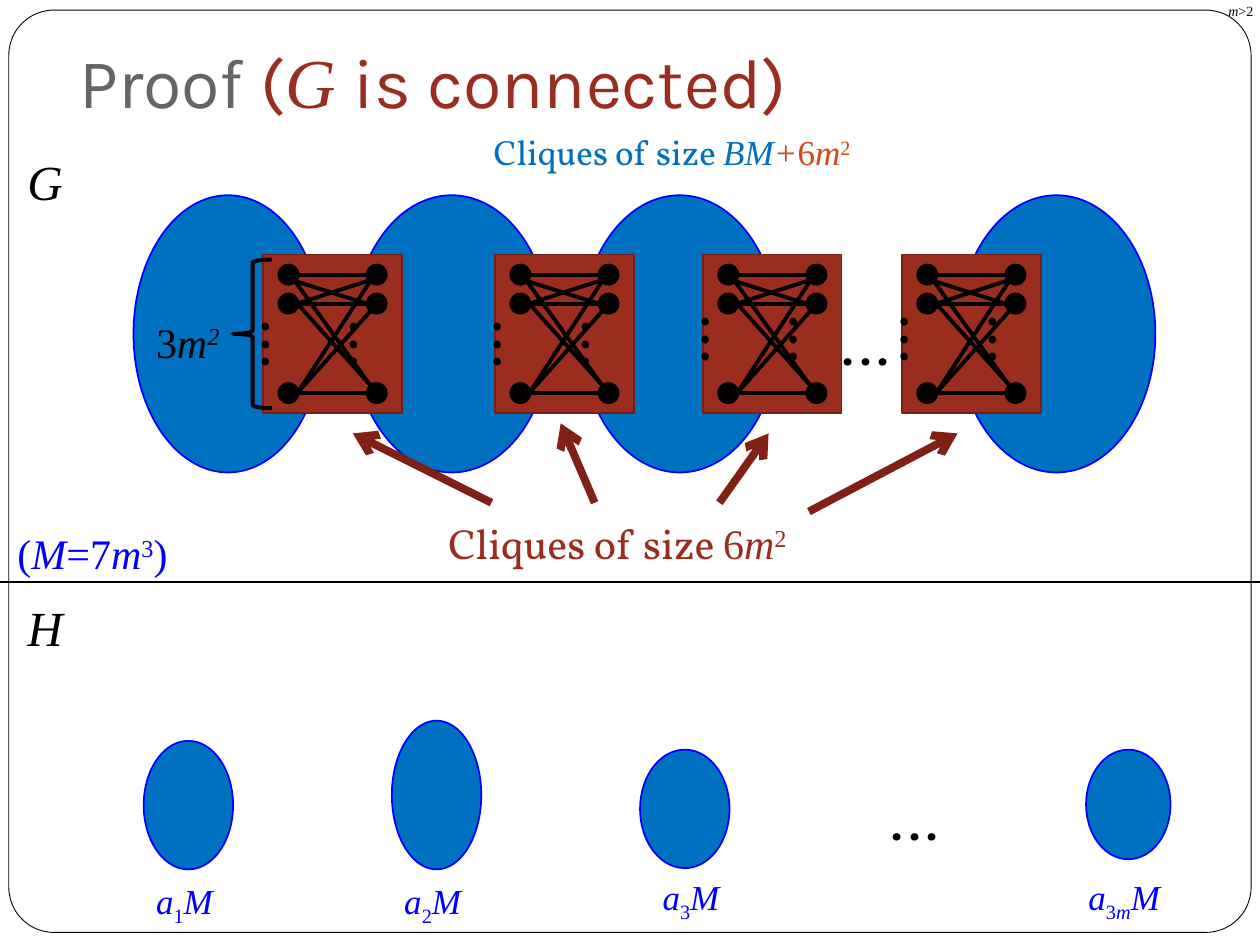
"""Build the slide on the proof that G is connected."""
from lxml import etree
from pptx import Presentation
from pptx.dml.color import RGBColor
from pptx.enum.shapes import MSO_CONNECTOR, MSO_SHAPE
from pptx.enum.text import MSO_ANCHOR, MSO_AUTO_SIZE, PP_ALIGN
from pptx.oxml.ns import qn
from pptx.util import Inches, Pt

OVAL, RECT = MSO_SHAPE.OVAL, MSO_SHAPE.RECTANGLE
ROUND, BRACE = MSO_SHAPE.ROUNDED_RECTANGLE, MSO_SHAPE.LEFT_BRACE
STRAIGHT = MSO_CONNECTOR.STRAIGHT
BOTTOM, TOP = MSO_ANCHOR.BOTTOM, MSO_ANCHOR.TOP
LEFT = PP_ALIGN.LEFT
GROW, FIXED = MSO_AUTO_SIZE.SHAPE_TO_FIT_TEXT, MSO_AUTO_SIZE.NONE
BLACK, WHITE, GRAY = "000000", "FFFFFF", "696464"
RED, EDGE, DARK = "9B2D1F", "732117", "812014"
BLUE, INK, ORANGE = "0070C0", "0000FF", "D34817"
SERIF, BODY, HEAD = "Times New Roman", "Vollkorn", "Karla"
BASE = {"^": "30000", "_": "-25000"}
JOINS = (
    (0.27, 0.16, 0.82, 0.16), (0.25, 0.21, 0.82, 0.39), (0.25, 0.21, 0.85, 1.04),
    (0.27, 0.39, 0.98, 0.16), (0.27, 0.39, 0.82, 0.39), (0.27, 0.39, 0.96, 1.16),
    (0.27, 1.1, 0.85, 0.21), (0.27, 1.1, 0.85, 0.45), (0.27, 1.1, 0.82, 1.1),
)


def color(code):
    """Turn a hex string into a colour."""
    return RGBColor.from_string(code)


class Board:
    """Hold the slide and its style, and draw each kind of element."""

    def __init__(self, slide):
        """Keep the slide to draw on."""
        self.slide = slide
        self.shapes = slide.shapes

    def put(self, frame, runs, size):
        """Fill a text frame with runs of text, font, colour and marks."""
        para = frame.paragraphs[0]
        para.alignment = LEFT
        for text, face, code, marks in runs:
            run = para.add_run()
            run.text = text
            run.font.size = Pt(size)
            run.font.name = face
            run.font.color.rgb = color(code)
            run.font.italic = "i" in marks
            for mark in marks:
                if mark in BASE:
                    run.font._element.set("baseline", BASE[mark])

    def title(self, box, runs, size):
        """Place and fill the title."""
        item = self.shapes.title
        item.left, item.top, item.width, item.height = map(Inches, box)
        frame = item.text_frame
        frame.auto_size = FIXED
        frame.vertical_anchor = BOTTOM
        frame.margin_bottom = Inches(0.1)
        self.put(frame, runs, size)

    def text(self, box, runs, size, turn=0):
        """Add a text box."""
        item = self.shapes.add_textbox(*map(Inches, box))
        item.rotation = turn
        frame = item.text_frame
        frame.word_wrap = True
        frame.auto_size = GROW
        frame.vertical_anchor = TOP
        self.put(frame, runs, size)

    def math(self, box, parts, size, code):
        """Add a formula in one colour."""
        self.text(box, [(part, SERIF, code, marks) for part, marks in parts], size)

    def dots(self, left, top, turn=0):
        """Add an ellipsis."""
        self.text((left, top, 0.55, 0.64), [("…", BODY, BLACK, "")], 32, turn)

    def shape(self, kind, box, fill, edge, width=1):
        """Add a preset shape."""
        item = self.shapes.add_shape(kind, *map(Inches, box))
        item.shadow.inherit = False
        if fill:
            item.fill.solid()
            item.fill.fore_color.rgb = color(fill)
        else:
            item.fill.background()
        item.line.color.rgb = color(edge)
        item.line.width = Pt(width)
        return item

    def line(self, ends, code, width, arrow=False):
        """Add a straight line, with or without an arrowhead."""
        item = self.shapes.add_connector(STRAIGHT, *map(Inches, ends))
        item.line.color.rgb = color(code)
        item.line.width = Pt(width)
        props = item._element.spPr
        if arrow:
            etree.SubElement(props.find(qn("a:ln")), qn("a:tailEnd"), type="arrow")
        etree.SubElement(props, qn("a:effectLst"))

    def clique(self, left, drop):
        """Add a red clique with two columns of joined nodes."""
        top = 2.02
        self.shape(RECT, (left, top, 1.1, 1.26), RED, EDGE)
        for col in (0.12, 0.82):
            for row in (0.08, 0.31, 1.02):
                self.shape(OVAL, (left + col, top + row, 0.16, 0.16), BLACK, BLACK)
            self.dots(left + col - 0.23, drop, 90)
        for x, y, u, v in JOINS:
            self.line((left + x, top + y, left + u, top + v), BLACK, 2.25)


deck = Presentation()
deck.slide_width, deck.slide_height = Inches(10), Inches(7.5)
board = Board(deck.slides.add_slide(deck.slide_layouts[5]))

panel = board.shape(ROUND, (0.07, 0.08, 9.86, 7.32), WHITE, BLACK, 0.5)
panel.adjustments[0] = 0.049
board.shapes._spTree.insert(2, panel._element)
board.title((0.53, 0.13, 9.28, 0.94), [
    ("Proof ", HEAD, GRAY, ""), ("(", HEAD, RED, ""),
    ("G ", SERIF, RED, "i"), ("is connected)", HEAD, RED, "")], 40)

board.line((0, 4.62, 10.04, 4.62), BLACK, 0.75)
for name, top in (("G", 1.15), ("H", 4.69)):
    board.math((0.12, top, 0.63, 0.57), [(name, "i")], 28, BLACK)

for left, width in ((1.06, 1.5), (2.8, 1.57), (4.61, 1.57), (7.6, 1.57)):
    board.shape(OVAL, (left, 1.55, width, 2.2), BLUE, INK)
for box in ((1.14, 5.88, 0.71, 1.02), (3.11, 5.72, 0.71, 1.18),
            (5.08, 5.95, 0.71, 0.94), (8.62, 5.95, 0.67, 0.87)):
    board.shape(OVAL, box, BLUE, INK)
for left, top, width, index in (
        (1.14, 6.93, 0.71, [("1", "_")]), (3.11, 6.93, 0.79, [("2", "_")]),
        (5.16, 6.9, 0.79, [("3", "_")]),
        (8.54, 6.9, 0.87, [("3", "_"), ("m", "i_")])):
    board.math((left, top, width, 0.44), [("a", "i"), *index, ("M", "i")], 20, INK)

for left, drop in ((2.09, 2.4), (3.93, 2.4), (5.58, 2.36), (7.16, 2.36)):
    board.clique(left, drop)
board.shape(BRACE, (1.85, 2.06, 0.31, 1.18), None, BLACK, 2.25)
board.dots(6.58, 2.41)
board.dots(6.97, 6.18)

board.math((1.14, 2.46, 0.87, 0.5), [("3", ""), ("m", "i"), ("2", "i^")], 24, BLACK)
board.math((0.04, 4.14, 1.42, 0.5), [
    ("(", ""), ("M", "i"), ("=7", ""), ("m", "i"), ("3", "^"), (")", "")], 24, INK)
board.math((9.65, -0.03, 0.47, 0.24), [("m", "i"), (">2", "")], 8, BLACK)
board.text((3.82, 0.99, 3.31, 0.44), [
    ("Cliques of size ", BODY, BLUE, ""), ("BM", SERIF, BLUE, "i"),
    ("+", SERIF, ORANGE, "i"), ("6", SERIF, ORANGE, ""),
    ("m", SERIF, ORANGE, "i"), ("2", SERIF, ORANGE, "^")], 20)
board.text((3.46, 4.06, 3.58, 0.5), [
    ("Cliques of size ", BODY, RED, ""), ("6", SERIF, RED, ""),
    ("m", SERIF, RED, "i"), ("2", SERIF, RED, "^")], 24)

for ends in ((3.9, 3.99, 2.8, 3.44), (4.72, 3.99, 4.45, 3.36),
             (5.71, 3.99, 6.1, 3.44), (6.42, 4.06, 7.6, 3.44)):
    board.line(ends, DARK, 4.5, True)

deck.save("out.pptx")
